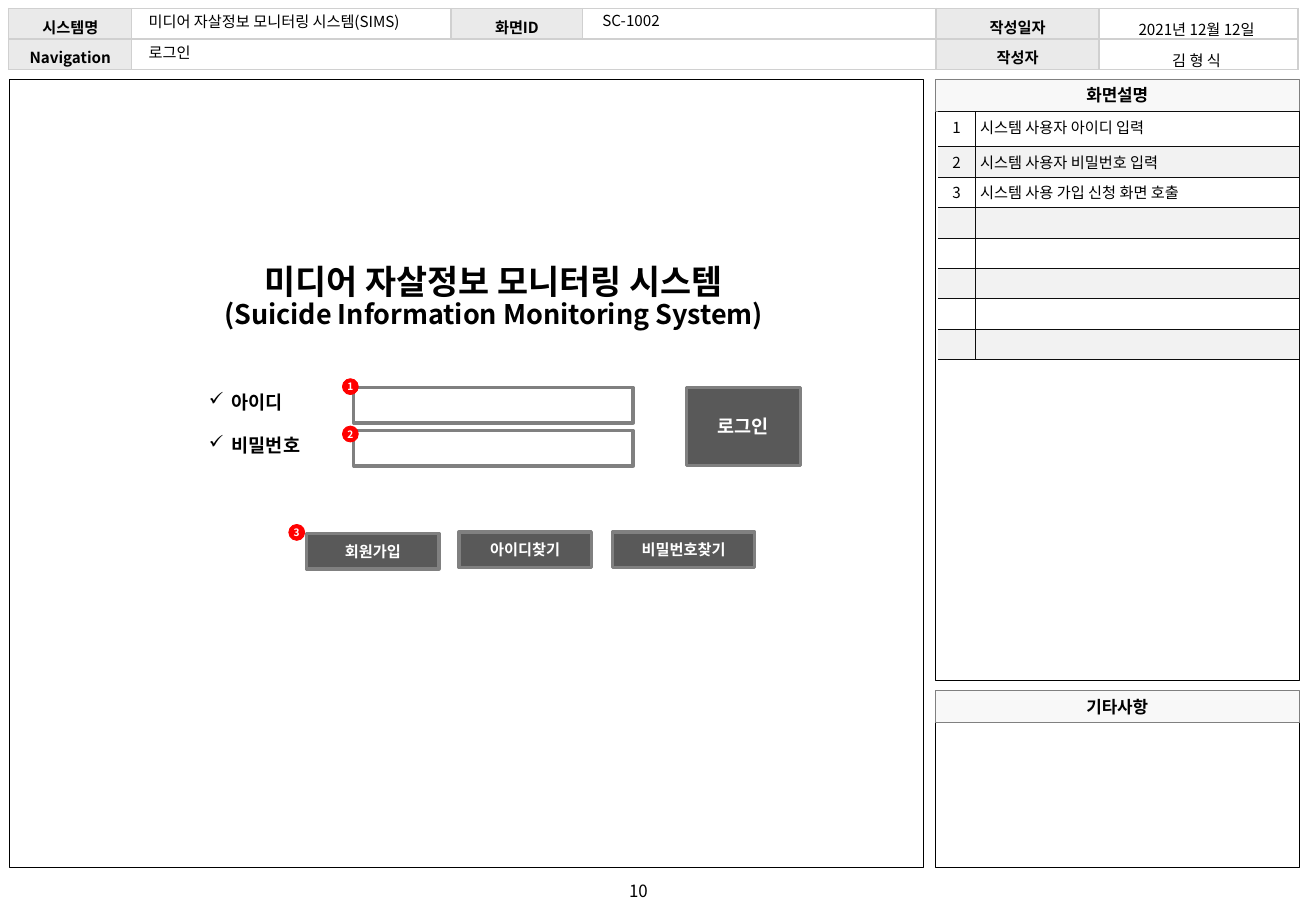
import dataclasses

import lxml.etree
import pptx
import pptx.dml.color
import pptx.enum.shapes
import pptx.enum.text
import pptx.oxml.ns
import pptx.util

Pt = pptx.util.Pt
Shape = pptx.enum.shapes.MSO_SHAPE
Align = pptx.enum.text.PP_ALIGN
Anchor = pptx.enum.text.MSO_ANCHOR
qn = pptx.oxml.ns.qn


@dataclasses.dataclass(frozen=True)
class Theme:
    font: str = "Noto Sans CJK KR"
    black: str = "000000"
    white: str = "FFFFFF"
    gray: str = "808080"
    button: str = "595959"
    marker: str = "FF0000"
    heading: str = "F8F8F8"
    label: str = "EAEAEA"
    band: str = "F2F2F2"
    grid: str = "D0D0D0"
    rule: str = "0D0D0D"
    title: int = 20
    subtitle: int = 16
    field: int = 11
    section: int = 10
    body: int = 9
    number: int = 6


theme = Theme()
rgb = pptx.dml.color.RGBColor.from_string


def write(frame, text, size=theme.body, color=theme.black, bold=False, align=Align.LEFT,
          anchor=Anchor.TOP, insets=(7.2, 3.6), spacing=1.0, wrap=True, bullet=None):
    frame.word_wrap = wrap
    frame.auto_size = pptx.enum.text.MSO_AUTO_SIZE.NONE
    frame.vertical_anchor = anchor
    frame.margin_left = frame.margin_right = Pt(insets[0])
    frame.margin_top = frame.margin_bottom = Pt(insets[1])
    sizes = size if isinstance(size, tuple) else (size,)
    for index, (line, points) in enumerate(zip(text.split("\n"), sizes)):
        para = frame.add_paragraph() if index else frame.paragraphs[0]
        para.alignment = align
        para.line_spacing = spacing
        if bullet:
            properties = para._p.get_or_add_pPr()
            properties.set("marL", str(Pt(13.5)))
            properties.set("indent", str(Pt(-13.5)))
            lxml.etree.SubElement(properties, qn("a:buChar"), char=bullet)
        if not line:
            lxml.etree.SubElement(para._p, qn("a:endParaRPr"), sz=str(points * 100))
            continue
        span = para.add_run()
        span.text = line
        span.font.name = theme.font
        span.font.size = Pt(points)
        span.font.bold = bold
        span.font.color.rgb = rgb(color)
        lxml.etree.SubElement(span._r.get_or_add_rPr(), qn("a:ea"), typeface=theme.font)


def draw(kind, place, fill, line, width):
    box = page.shapes.add_shape(kind, *map(Pt, place))
    box.shadow.inherit = False
    if fill:
        box.fill.solid()
        box.fill.fore_color.rgb = rgb(fill)
    else:
        box.fill.background()
    box.line.color.rgb = rgb(line)
    box.line.width = Pt(width)
    return box


deck = pptx.Presentation()
deck.slide_width, deck.slide_height = Pt(780), Pt(540)
page = deck.slides.add_slide(deck.slide_layouts[5])

title = page.shapes.title
title.left, title.top, title.width, title.height = map(Pt, (92.2, 153.4, 401, 51.1))
write(title.text_frame, "미디어 자살정보 모니터링 시스템\n(Suicide Information Monitoring System)",
      size=(theme.title, theme.subtitle), bold=True, align=Align.CENTER,
      insets=(2.9, 3.6), spacing=0.9)

draw(Shape.RECTANGLE, (5.4, 46.7, 541.8, 467.3), None, theme.black, 0.25)
for text, top, height in (("화면설명", 46.7, 356.7), ("기타사항", 409.1, 104.9)):
    draw(Shape.RECTANGLE, (554.4, top + 19.2, 215.6, height - 19.2), None, theme.black, 0.25)
    heading = draw(Shape.RECTANGLE, (554.4, top, 215.6, 19.2), theme.heading, theme.gray, 0.25)
    write(heading.text_frame, text, size=theme.section, bold=True, align=Align.CENTER,
          anchor=Anchor.MIDDLE, insets=(0, 0))

header_rows = [["시스템명", "", "화면ID", "", "작성일자", ""],
               ["Navigation", "", "", "", "작성자", ""]]
notes = ["시스템 사용자 아이디 입력", "시스템 사용자 비밀번호 입력", "시스템 사용 가입 신청 화면 호출"]
note_rows = [[str(index + 1), note] for index, note in enumerate(notes)] + [["", ""]] * 5
author_rows = [["2021년 12월 12일"], ["김 형 식"]]
tables = (
    ("header", header_rows, (5.1, 5.1), (73, 189.3, 78, 209.5, 96.6, 118), [18.1] * 2),
    ("notes", note_rows, (556, 66.1), (22, 192), [20.8] + [18] * 7),
    ("author", author_rows, (650.2, 6.5), (118,), [18.1] * 2),
)
for name, rows, corner, widths, heights in tables:
    frame = page.shapes.add_table(len(rows), len(widths), *map(Pt, (*corner, sum(widths), sum(heights))))
    table = frame.table
    table.first_row = table.horz_banding = False
    table._tbl.tblPr.find(qn("a:tableStyleId")).text = "{2D5ABB26-0587-4C30-8999-92F81FD0307C}"
    for column, width in zip(table.columns, widths):
        column.width = Pt(width)
    for row, height in zip(table.rows, heights):
        row.height = Pt(height)
    for row, texts in enumerate(rows):
        for column, text in enumerate(texts):
            cell = table.cell(row, column)
            labelled = name == "header" and text != ""
            listed = name == "notes"
            described = listed and column == 1
            write(cell.text_frame, text, bold=labelled,
                  align=Align.LEFT if described else Align.CENTER)
            cell.vertical_anchor = Anchor.TOP if listed else Anchor.MIDDLE
            cell.margin_left = cell.margin_right = Pt(2.9 if described else 0)
            cell.margin_top, cell.margin_bottom = Pt(2.5 if listed else 3.6), 0
            sides = {"header": "LRTB", "notes": "LRTB" if column else "RTB", "author": ""}[name]
            color, weight = (theme.rule, 0.25) if listed else (theme.grid, 1)
            for side in sides:
                edge = lxml.etree.SubElement(cell._tc.get_or_add_tcPr(), qn("a:ln" + side),
                                             w=str(Pt(weight)))
                paint = lxml.etree.SubElement(edge, qn("a:solidFill"))
                lxml.etree.SubElement(paint, qn("a:srgbClr"), val=color)
            if labelled or listed and row % 2:
                cell.fill.solid()
                cell.fill.fore_color.rgb = rgb(theme.label if labelled else theme.band)
            else:
                cell.fill.background()
    if name == "header":
        table.cell(1, 1).merge(table.cell(1, 3))

for text, left, top, width in (("미디어 자살정보 모니터링 시스템(SIMS)", 81, 5, 177),
                               ("SC-1002", 350, 4.3, 49), ("로그인", 81, 23.3, 42)):
    box = page.shapes.add_textbox(*map(Pt, (left, top, width, 18.2)))
    write(box.text_frame, text, spacing=0.9, wrap=False)

for text, top in (("아이디", 229.7), ("비밀번호", 255.2)):
    label = page.shapes.add_textbox(*map(Pt, (121, top, 95.8, 21)))
    write(label.text_frame, text, size=theme.field, bold=True, insets=(2.9, 3.6),
          spacing=0.9, bullet="✓")
    draw(Shape.RECTANGLE, (209.7, top, 165.6, 21), None, theme.gray, 2)

for text, left, top, width, height, size in (
        ("로그인", 406.8, 229.7, 67.7, 46.2, theme.field),
        ("회원가입", 181.7, 316.3, 78.5, 21, theme.body),
        ("아이디찾기", 272, 315.4, 78.5, 21, theme.body),
        ("비밀번호찾기", 363, 315.4, 84.4, 21, theme.body)):
    button = draw(Shape.RECTANGLE, (left, top, width, height), theme.button, theme.gray, 2)
    write(button.text_frame, text, size=size, color=theme.white, bold=True,
          align=Align.CENTER, anchor=Anchor.MIDDLE, insets=(0, 0))

for number, (left, top) in enumerate(((203, 224.5), (203, 252.6), (171.2, 310.9)), 1):
    marker = draw(Shape.OVAL, (left, top, 9.4, 9.4), theme.marker, theme.marker, 0.5)
    write(marker.text_frame, str(number), size=theme.number, color=theme.white, bold=True,
          align=Align.CENTER, anchor=Anchor.MIDDLE, insets=(0, 0), wrap=False)

page_number = page.shapes.add_textbox(*map(Pt, (352.8, 518.4, 51.1, 19.4)))
write(page_number.text_frame, "10", size=theme.section, align=Align.CENTER,
      anchor=Anchor.MIDDLE, insets=(0, 0))

deck.save("out.pptx")
